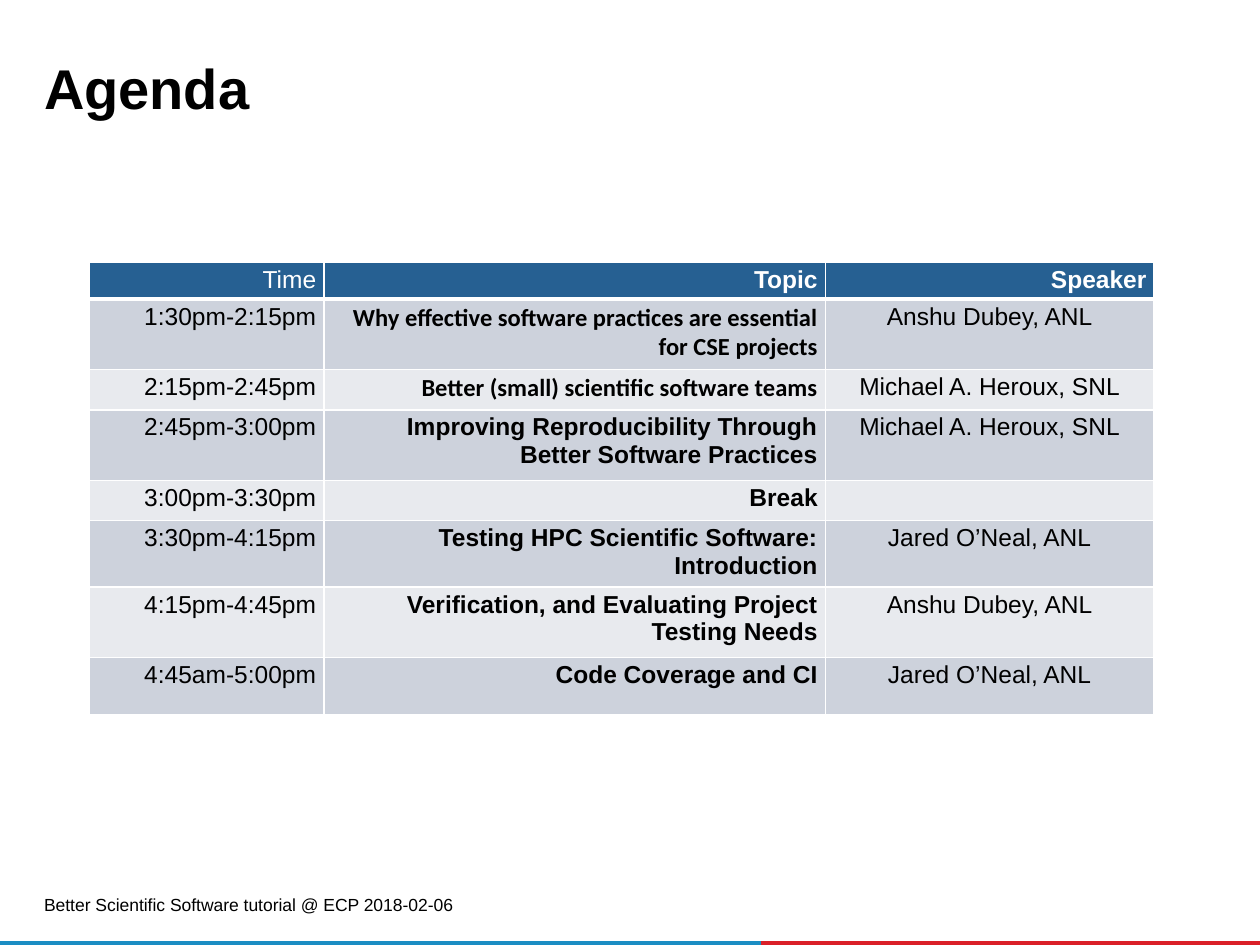
from lxml import etree
from pptx import Presentation
from pptx import util as u
from pptx.dml.color import RGBColor
from pptx.enum import shapes, text
from pptx.oxml import ns

COLORS = {
    "black": "000000",
    "white": "FFFFFF",
    "header": "266092",
    "odd_row": "CDD2DC",
    "even_row": "E8EAEE",
    "blue": "1B8DC3",
    "red": "DA1F28",
}
RIGHT, CENTER = text.PP_ALIGN.RIGHT, text.PP_ALIGN.CENTER
TOP, MIDDLE, BOTTOM = text.MSO_ANCHOR.TOP, text.MSO_ANCHOR.MIDDLE, text.MSO_ANCHOR.BOTTOM

COLUMN_WIDTHS = [1.86, 3.98, 2.61]
ROW_HEIGHTS = [0.24, 0.56, 0.32, 0.56, 0.32, 0.45, 0.56, 0.45]
HEADINGS = ["Time", "Topic", "Speaker"]
SESSIONS = [
    ("1:30pm-2:15pm", "Why effective software practices are essential for CSE projects", "Anshu Dubey, ANL"),
    ("2:15pm-2:45pm", "Better (small) scientific software teams", "Michael A. Heroux, SNL"),
    ("2:45pm-3:00pm", "Improving Reproducibility Through Better Software Practices", "Michael A. Heroux, SNL"),
    ("3:00pm-3:30pm", "Break", ""),
    ("3:30pm-4:15pm", "Testing HPC Scientific Software: Introduction", "Jared O’Neal, ANL"),
    ("4:15pm-4:45pm", "Verification, and Evaluating Project Testing Needs", "Anshu Dubey, ANL"),
    ("4:45am-5:00pm", "Code Coverage and CI", "Jared O’Neal, ANL"),
]
CALIBRI_ROWS = (1, 2)


def rgb(name):
    return RGBColor.from_string(COLORS[name])


def write(frame, words, size=14, font="Arial", color="black", bold=False, align=None, spacing=None):
    para = frame.paragraphs[0]
    para.alignment = align
    para.line_spacing = spacing
    if not words:
        end = etree.SubElement(para._p, ns.qn("a:endParaRPr"))
        end.set("sz", str(size * 100))
        return
    span = para.add_run()
    span.text = words
    span.font.size = u.Pt(size)
    span.font.name = font
    span.font.bold = bold
    span.font.color.rgb = rgb(color)


def set_margins(target, across, down):
    target.margin_left = target.margin_right = u.Inches(across)
    target.margin_top = target.margin_bottom = u.Inches(down)


def add_text(page, words, left, top, width, height, anchor, wrap=True, **style):
    box = page.shapes.add_textbox(*map(u.Inches, (left, top, width, height)))
    frame = box.text_frame
    frame.word_wrap = wrap
    frame.vertical_anchor = anchor
    set_margins(frame, 0.05, 0.05)
    write(frame, words, **style)


def add_bar(page, left, width, color):
    bar = page.shapes.add_shape(
        shapes.MSO_SHAPE.RECTANGLE, *map(u.Inches, (left, 7.47, width, 0.03)))
    bar.shadow.inherit = False
    bar.fill.solid()
    bar.fill.fore_color.rgb = rgb(color)
    bar.line.fill.background()


def set_borders(cell, bottom=1):
    properties = cell._tc.get_or_add_tcPr()
    borders = [("a:lnL", 1), ("a:lnR", 1), ("a:lnT", 1), ("a:lnB", bottom)]
    for position, (tag, points) in enumerate(borders):
        line = etree.Element(ns.qn(tag), w=str(u.Pt(points)))
        fill = etree.SubElement(line, ns.qn("a:solidFill"))
        etree.SubElement(fill, ns.qn("a:srgbClr"), val=COLORS["white"])
        properties.insert(position, line)


def fill_cell(cell, words, fill, bottom=1, **style):
    cell.fill.solid()
    cell.fill.fore_color.rgb = rgb(fill)
    cell.vertical_anchor = TOP
    set_margins(cell, 0.06, 0.03)
    set_borders(cell, bottom)
    write(cell.text_frame, words, **style)


def add_agenda(page):
    table = page.shapes.add_table(
        len(ROW_HEIGHTS), len(COLUMN_WIDTHS), u.Inches(0.71), u.Inches(2.08),
        u.Inches(sum(COLUMN_WIDTHS)), u.Inches(sum(ROW_HEIGHTS))).table
    for column, width in zip(table.columns, COLUMN_WIDTHS):
        column.width = u.Inches(width)
    for row, height in zip(table.rows, ROW_HEIGHTS):
        row.height = u.Inches(height)

    for index, heading in enumerate(HEADINGS):
        fill_cell(table.cell(0, index), heading, "header", bottom=3,
                  color="white", bold=index > 0, align=RIGHT)
    for number, (time, topic, speaker) in enumerate(SESSIONS, start=1):
        fill = "odd_row" if number % 2 else "even_row"
        topic_font = "Calibri" if number in CALIBRI_ROWS else "Arial"
        fill_cell(table.cell(number, 0), time, fill, align=RIGHT)
        fill_cell(table.cell(number, 1), topic, fill, font=topic_font, bold=True, align=RIGHT)
        fill_cell(table.cell(number, 2), speaker, fill, align=CENTER)


def main():
    deck = Presentation()
    deck.slide_width, deck.slide_height = u.Inches(10), u.Inches(7.5)
    page = deck.slides.add_slide(deck.slide_layouts[6])
    add_bar(page, 6.04, 3.96, "red")
    add_bar(page, 0, 6.04, "blue")
    add_text(page, "Better Scientific Software tutorial @ ECP 2018-02-06",
             0.3, 7.05, 3.52, 0.25, MIDDLE, wrap=False, size=10)
    add_text(page, "Agenda", 0.3, 0.45, 9.33, 0.56, BOTTOM, size=32, bold=True, spacing=0.85)
    add_agenda(page)
    deck.save("out.pptx")


if __name__ == "__main__":
    main()
